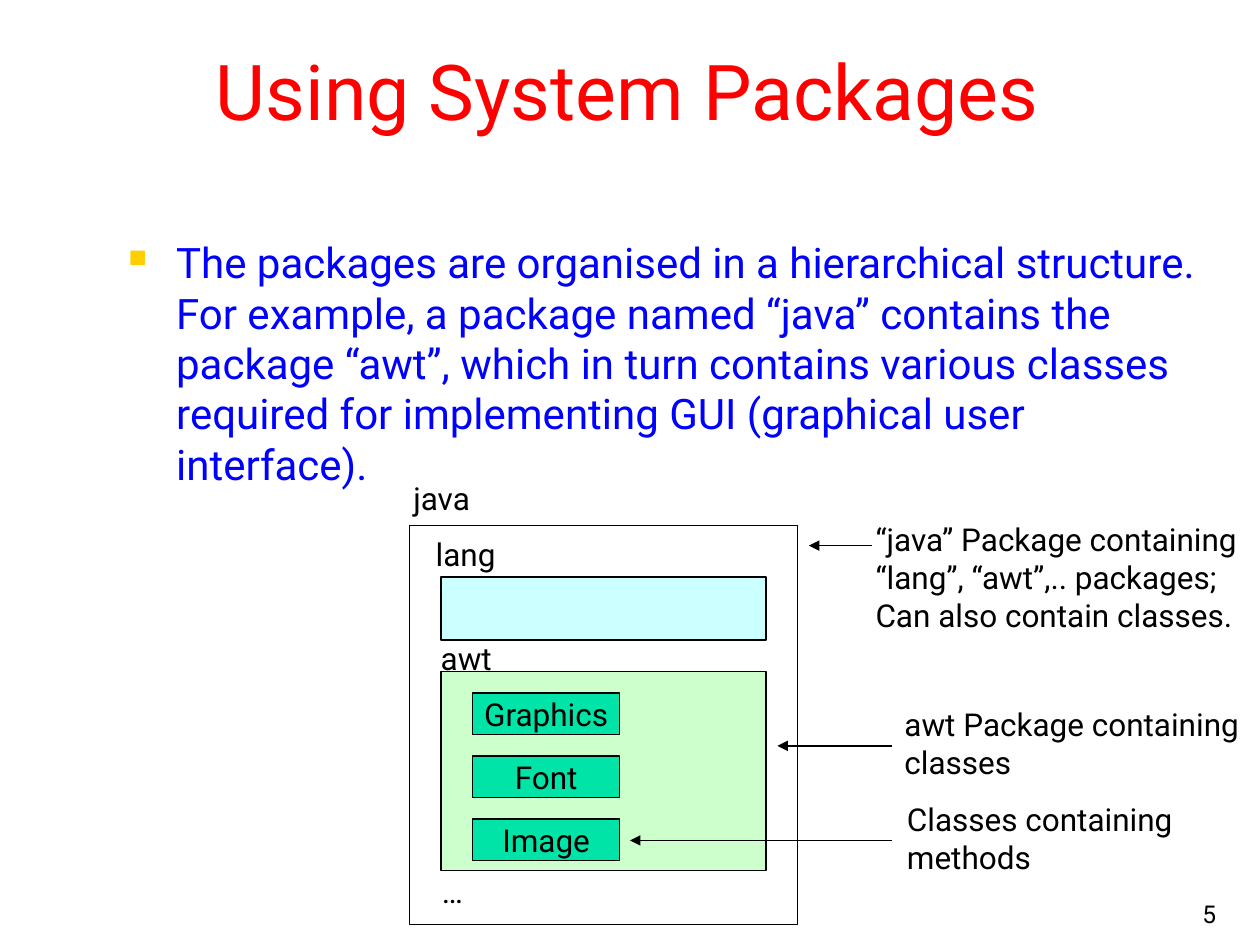
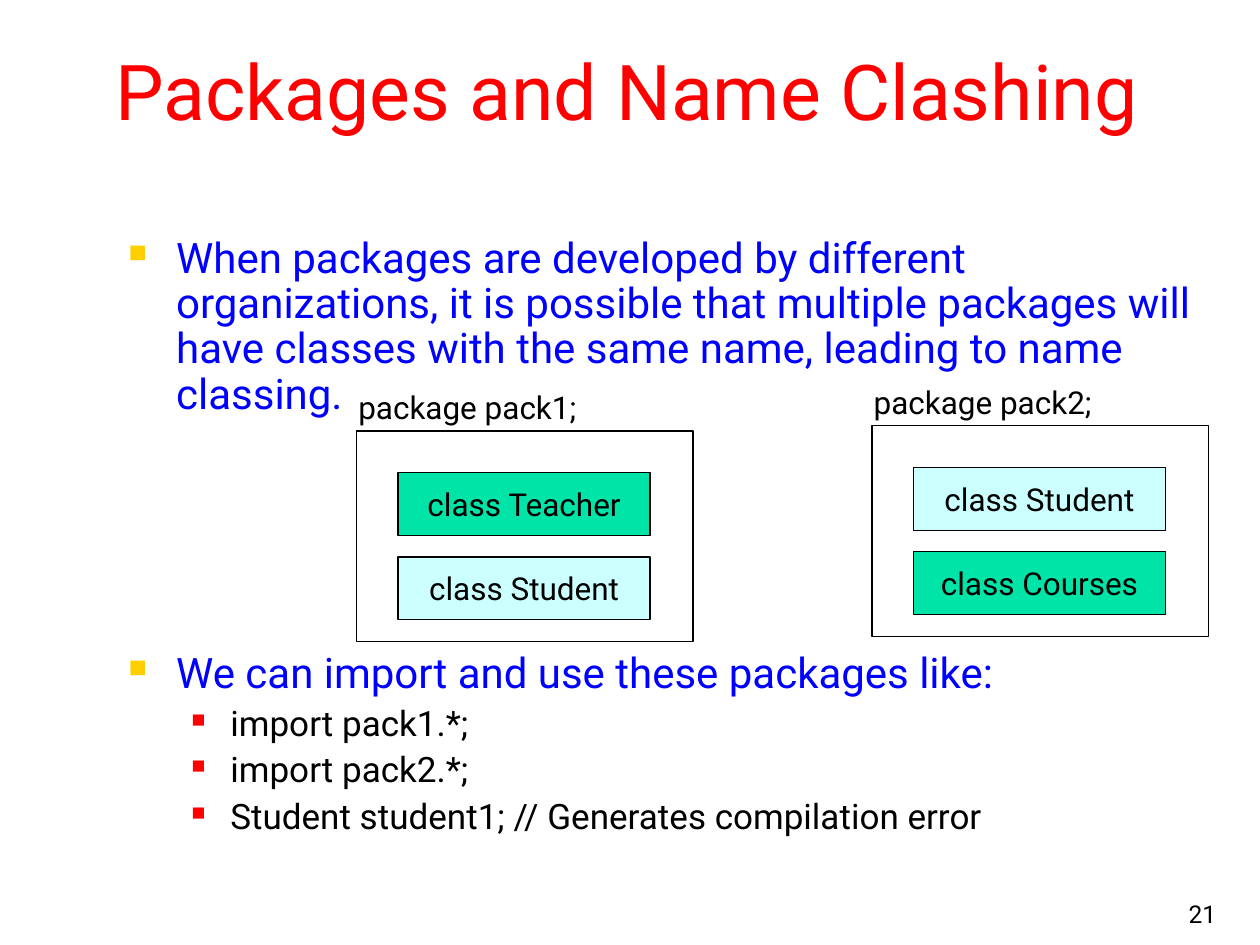
"""Build two slides on packages: the system hierarchy and name clashing."""
import pptx
import pptx.dml.color
import pptx.enum.shapes
import pptx.enum.text
import pptx.oxml
import pptx.oxml.ns
import pptx.util
from pptx.util import Inches

ALIGN = pptx.enum.text.PP_ALIGN
ANCHOR = pptx.enum.text.MSO_ANCHOR
FIT = pptx.enum.text.MSO_AUTO_SIZE

FONT = "Roboto"
BLACK, WHITE, RED, BLUE = "000000", "FFFFFF", "FF0000", "0000FF"
GOLD, GREEN, LIME, CYAN = "FFCF01", "00E4A8", "CCFFCC", "CCFFFF"


def paint(code):
    return pptx.dml.color.RGBColor.from_string(code)


def make(tag, **attrs):
    node = pptx.oxml.parse_xml(f"<a:{tag} {pptx.oxml.ns.nsdecls('a')}/>")
    for key, value in attrs.items():
        node.set(key, str(value))
    return node


def write(frame, text, size=18, color=BLACK, align=ALIGN.LEFT, more=False,
          before=0, spacing=None):
    """Write each line of text as a paragraph and return the last one."""
    for line in text.split("\n"):
        para = frame.add_paragraph() if more else frame.paragraphs[0]
        more = True
        para.alignment = align
        para.space_before = pptx.util.Pt(before)
        if spacing:
            para.line_spacing = spacing
        run = para.add_run()
        run.text = line
        run.font.name = FONT
        run.font.size = pptx.util.Pt(size)
        run.font.color.rgb = paint(color)
    return para


class Deck:
    """Hold the shared style and the current slide."""

    def __init__(self):
        self.show = pptx.Presentation()
        self.show.slide_width = Inches(10)
        self.show.slide_height = Inches(7.5)

    def start(self, title, number):
        self.slide = self.show.slides.add_slide(self.show.slide_layouts[6])
        self.shapes = self.slide.shapes
        fill = self.slide.background.fill
        fill.solid()
        fill.fore_color.rgb = paint(WHITE)
        self.box(0.17, 0.17, 9.62, 1.08, WHITE, title, line=None, size=44,
                 color=RED)
        foot = self.frame(7.67, 6.92, 2.08, 0.5)
        foot.vertical_anchor = ANCHOR.BOTTOM
        write(foot, str(number), size=14, align=ALIGN.RIGHT)

    def frame(self, left, top, width, height):
        area = self.shapes.add_textbox(Inches(left), Inches(top),
                                       Inches(width), Inches(height))
        area.text_frame.word_wrap = True
        return area.text_frame

    def label(self, left, top, width, height, text, align=ALIGN.LEFT):
        frame = self.frame(left, top, width, height)
        frame.word_wrap = False
        frame.auto_size = FIT.SHAPE_TO_FIT_TEXT
        write(frame, text, align=align)

    def box(self, left, top, width, height, fill=None, text=None, line=BLACK,
            **style):
        rect = self.shapes.add_shape(
            pptx.enum.shapes.MSO_SHAPE.RECTANGLE, Inches(left), Inches(top),
            Inches(width), Inches(height))
        rect.shadow.inherit = False
        if fill:
            rect.fill.solid()
            rect.fill.fore_color.rgb = paint(fill)
        else:
            rect.fill.background()
        if line:
            rect.line.color.rgb = paint(line)
            rect.line.width = pptx.util.Pt(0.75)
        else:
            rect.line.fill.background()
        if text:
            rect.text_frame.word_wrap = False
            rect.text_frame.vertical_anchor = ANCHOR.MIDDLE
            write(rect.text_frame, text, align=ALIGN.CENTER, **style)

    def arrow(self, start, end, top):
        line = self.shapes.add_connector(
            pptx.enum.shapes.MSO_CONNECTOR.STRAIGHT, Inches(start),
            Inches(top), Inches(end), Inches(top))
        line.line.color.rgb = paint(BLACK)
        line.line.width = pptx.util.Pt(0.75)
        props = line._element.spPr
        props.find(pptx.oxml.ns.qn("a:ln")).append(
            make("tailEnd", type="triangle"))
        props.append(make("effectLst"))

    def body(self):
        return self.frame(0.92, 1.83, 8.83, 4.87)

    def point(self, frame, text, level=0, **style):
        left, hang, size, color, mark, scale, before = (
            (0.38, 0.38, 24, BLUE, GOLD, 60, 6),
            (0.81, 0.31, 20, BLACK, RED, 55, 5))[level]
        style.setdefault("before", before)
        para = write(frame, text, size=size, color=color, **style)
        para.level = level
        props = para._p.get_or_add_pPr()
        props.set("marL", str(Inches(left)))
        props.set("indent", str(-Inches(hang)))
        tint = make("buClr")
        tint.append(make("srgbClr", val=mark))
        props.extend([tint, make("buSzPct", val=scale * 1000),
                      make("buChar", char="■")])

    def pack(self, left, top, name, items):
        self.box(left, top, 2.67, 1.67)
        self.label(left - 0.12, top - 0.39, 2, 0.4, f"package {name};",
                   ALIGN.CENTER)
        for row, (item, fill) in enumerate(items):
            self.box(left + 0.33, top + 0.33 + row * 0.67, 2, 0.5, fill,
                     f"class {item}")


def system(deck):
    deck.start("Using System Packages", 5)
    deck.point(deck.body(), "The packages are organised in a hierarchical "
               "structure. For example, a package named “java” contains the "
               "package “awt”, which in turn contains various classes "
               "required for implementing GUI (graphical user interface).")
    deck.box(3.25, 4.17, 3.08, 3.17)
    deck.box(3.5, 4.58, 2.58, 0.5, CYAN)
    deck.box(3.5, 5.33, 2.58, 1.58, LIME)
    for row, name in enumerate(("Graphics", "Font", "Image")):
        deck.box(3.75, 5.5 + row * 0.5, 1.17, 0.33, GREEN, name)
    for left, top, width, name in (
            (3.17, 3.75, 0.67, "java"), (3.34, 4.2, 0.71, "lang"),
            (3.39, 5.02, 0.62, "awt"), (3.39, 6.87, 0.4, "…")):
        deck.label(left, top, width, 0.4, name, ALIGN.CENTER)
    for start, end, top in ((6.92, 6.42, 4.33), (7.08, 6.17, 5.92),
                            (7.08, 5, 6.67)):
        deck.arrow(start, end, top)
    for left, top, width, height, note in (
            (6.85, 4.08, 3.21, 1, "“java” Package containing\n"
             "“lang”, “awt”,.. packages;\nCan also contain classes."),
            (7.08, 5.55, 2.98, 0.7, "awt Package containing\nclasses"),
            (7.1, 6.3, 2.44, 0.7, "Classes containing\nmethods")):
        deck.label(left, top, width, height, note)


def clash(deck):
    deck.start("Packages and Name Clashing", 21)
    body = deck.body()
    deck.point(body, "When packages are developed by different "
               "organizations, it is possible that multiple packages will "
               "have classes with the same name, leading to name classing.",
               spacing=0.9)
    deck.point(body, "We can import and use these packages like:",
               more=True, before=133.5, spacing=0.9)
    for code in ("import pack1.*;", "import pack2.*;",
                 "Student student1; // Generates compilation error"):
        deck.point(body, code, level=1, more=True, spacing=0.9)
    deck.pack(2.83, 3.42, "pack1", (("Teacher", GREEN), ("Student", CYAN)))
    deck.pack(6.92, 3.38, "pack2", (("Student", CYAN), ("Courses", GREEN)))


def main():
    deck = Deck()
    system(deck)
    clash(deck)
    deck.show.save("out.pptx")


if __name__ == "__main__":
    main()
